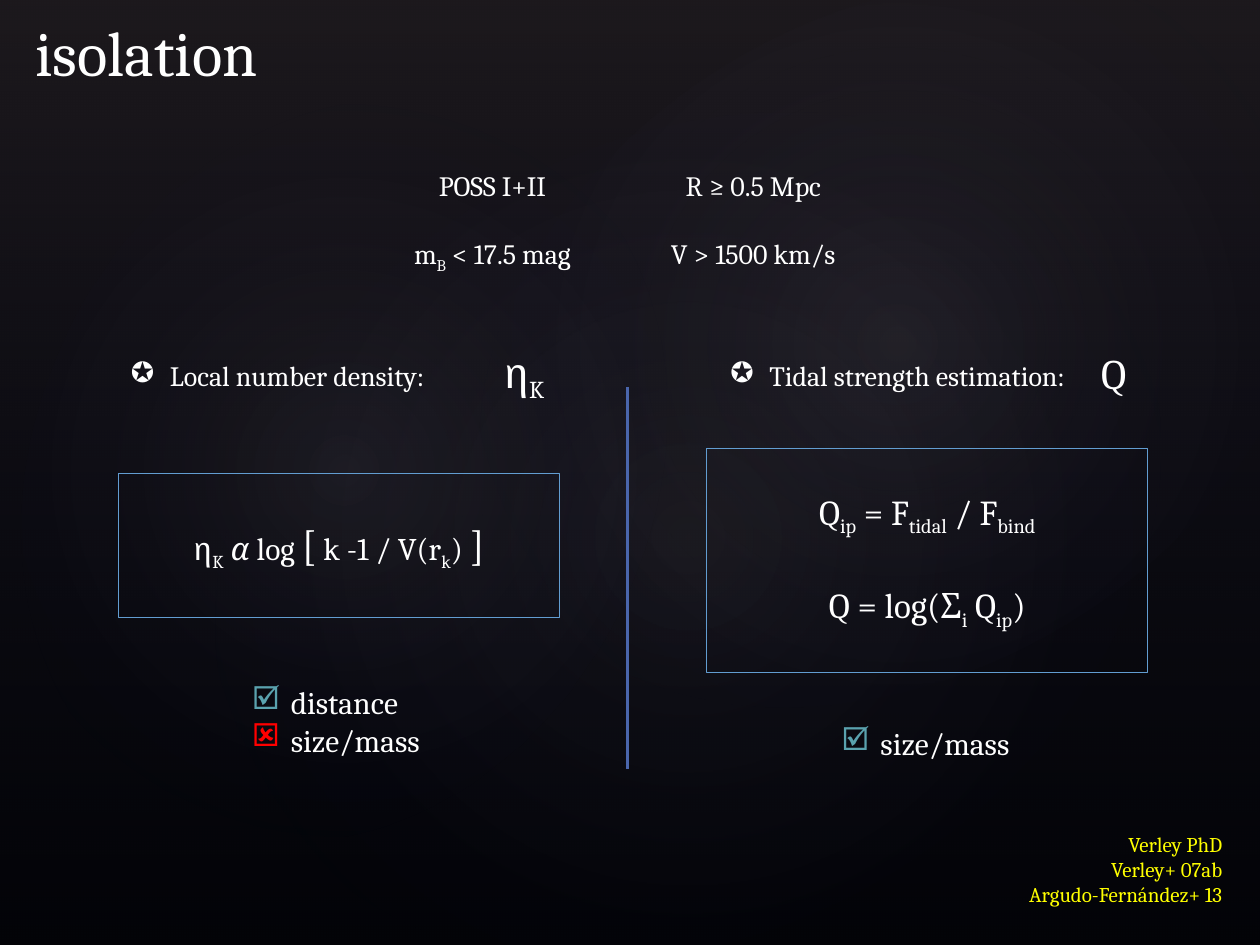
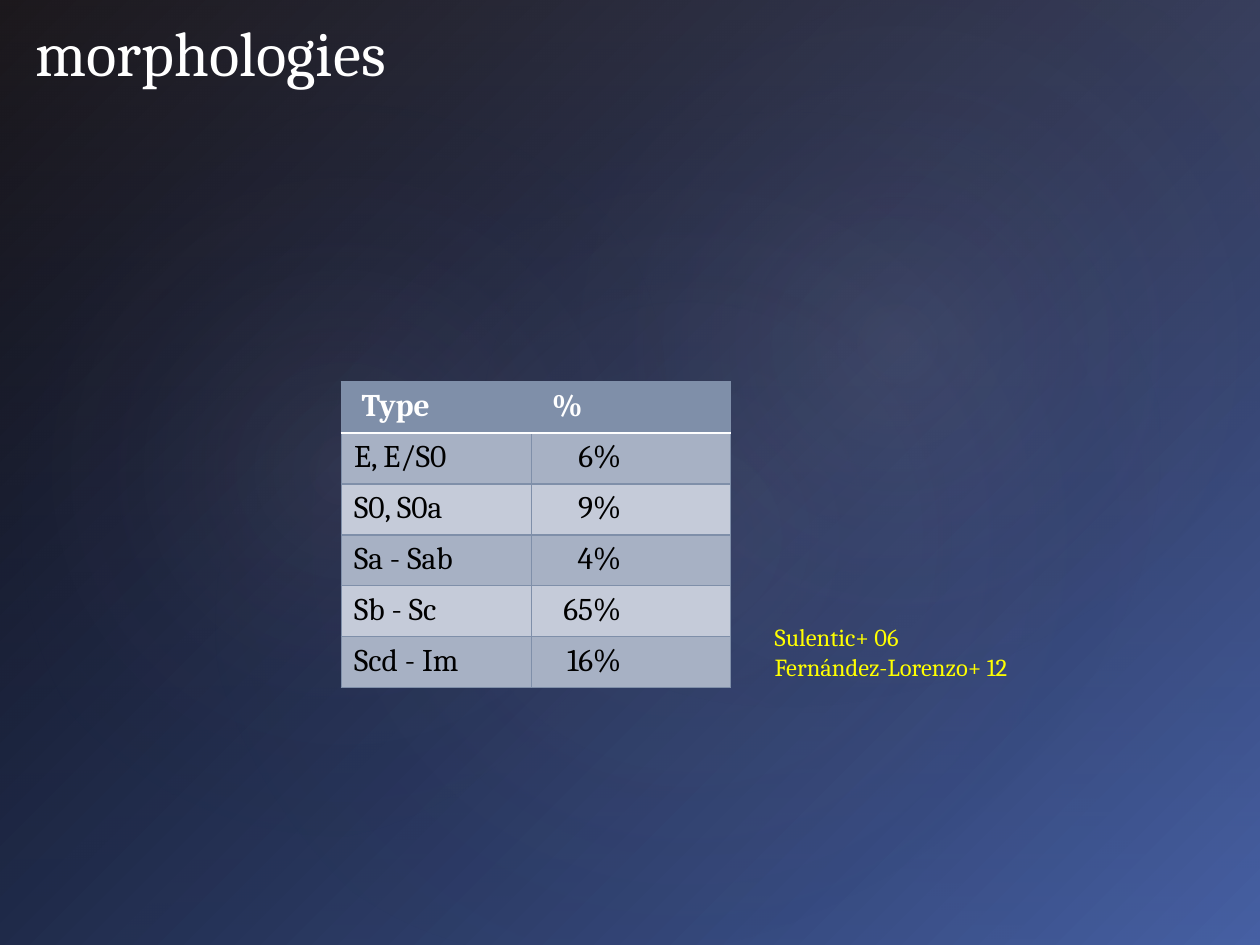
from lxml import etree
from pptx import Presentation
from pptx.dml.color import RGBColor
from pptx.enum.shapes import MSO_CONNECTOR, MSO_SHAPE
from pptx.enum.text import MSO_ANCHOR, PP_ALIGN
from pptx.oxml.ns import qn
from pptx.util import Inches, Pt

LEFT, CENTER, RIGHT = PP_ALIGN.LEFT, PP_ALIGN.CENTER, PP_ALIGN.RIGHT
TOP, MIDDLE, BOTTOM = MSO_ANCHOR.TOP, MSO_ANCHOR.MIDDLE, MSO_ANCHOR.BOTTOM
RECTANGLE, OVAL = MSO_SHAPE.RECTANGLE, MSO_SHAPE.OVAL
STRAIGHT = MSO_CONNECTOR.STRAIGHT

FONT = "Cambria"
WHITE, BLACK, YELLOW, RED = "FFFFFF", "000000", "FFFF00", "FF0000"
BLUE, SKY, TEAL = "4A66AC", "629DD1", "5AA2AE"
SLATE, DARK_BAND, LIGHT_BAND = "7F8FA9", "A7B1C4", "C5CBD9"
NAVY, PLUM, MIST = "242852", "504652", "C4BCC6"
TITLE_ONLY = 5
HANGING = 0.31


def rgb(value):
    return RGBColor.from_string(value)


def add_xml(parent, tag, **attributes):
    child = etree.SubElement(parent, qn(tag))
    for name, value in attributes.items():
        child.set(name, str(value))
    return child


# Backgrounds
def set_gradient(owner, stops, angle=None, focus=(50, 50, 50, 50)):
    """Give the gradient (position, colour, opacity) stops; circular without an angle."""
    gradient = owner.element.find(".//" + qn("a:gradFill"))
    for child in list(gradient):
        gradient.remove(child)
    stop_list = add_xml(gradient, "a:gsLst")
    for position, color, opacity in stops:
        stop = add_xml(stop_list, "a:gs", pos=position * 1000)
        tint = add_xml(stop, "a:srgbClr", val=color)
        if opacity < 100:
            add_xml(tint, "a:alpha", val=opacity * 1000)
    if angle is not None:
        add_xml(gradient, "a:lin", ang=angle * 60000, scaled=0)
    else:
        circle = add_xml(gradient, "a:path", path="circle")
        edges = {side: value * 1000 for side, value in zip("ltrb", focus)}
        add_xml(circle, "a:fillToRect", **edges)


def add_plain_shape(page, kind, place):
    shape = page.shapes.add_shape(kind, *map(Inches, place))
    shape.shadow.inherit = False
    return shape


def add_master_glow(deck, page):
    """Draw the veil and the glows on a page, then move them to the master."""
    veil = add_plain_shape(page, RECTANGLE, (0, 0, 10, 7.5))
    veil.fill.gradient()
    set_gradient(veil, [(0, PLUM, 36), (100, NAVY, 10)], angle=90)
    layers = [veil]
    for place, rotation, opacity in (
        ((1.5, 1.14, 7.92, 6.24), 328.7, 7),
        ((-0.3, 1.28, 6.06, 4.9), 294.3, 8),
        ((3.58, 0.13, 7.09, 5.2), 328.7, 8),
    ):
        glow = add_plain_shape(page, OVAL, place)
        glow.rotation = rotation
        glow.fill.gradient()
        set_gradient(glow, [(0, MIST, opacity), (58, NAVY, 0)])
        layers.append(glow)
    tree = deck.slide_master.element.cSld.spTree
    for index, layer in enumerate(layers):
        layer.line.fill.background()
        layer.element.nvSpPr.cNvPr.set("id", str(100 + index))
        tree.insert(2 + index, layer.element)


# Text
def sub(text):
    return text, {"sub": True}


def add_span(para, text, size, color=WHITE, bold=None, italic=None, sub=False):
    span = para.add_run()
    span.text = text
    span.font.name = FONT
    span.font.size = Pt(size)
    span.font.color.rgb = rgb(color)
    span.font.bold = bold
    span.font.italic = italic
    if sub:
        span._r.get_or_add_rPr().set("baseline", "-25000")


def add_bullet(para, symbol, color):
    properties = para._p.get_or_add_pPr()
    properties.set("marL", str(Inches(HANGING)))
    properties.set("indent", str(-Inches(HANGING)))
    add_xml(add_xml(properties, "a:buClr"), "a:srgbClr", val=color)
    add_xml(properties, "a:buChar", char=symbol)


def add_center_tabs(para, stops):
    tab_list = add_xml(para._p.get_or_add_pPr(), "a:tabLst")
    for stop in stops:
        add_xml(tab_list, "a:tab", pos=Inches(stop), algn="ctr")


def fill_text(frame, lines, size, color=WHITE, align=LEFT, anchor=TOP,
              gap=0, bullets=(), tabs=()):
    """Each line is a list of spans: plain strings or (text, format) pairs."""
    frame.word_wrap = True
    frame.vertical_anchor = anchor
    for index, line in enumerate(lines):
        para = frame.paragraphs[0] if index == 0 else frame.add_paragraph()
        para.alignment = align
        if bullets:
            add_bullet(para, *bullets[index])
        if tabs:
            add_center_tabs(para, tabs)
        if index and gap:
            para.space_before = Pt(gap)
        for span in line:
            text, style = (span, {}) if isinstance(span, str) else span
            add_span(para, text, **{"size": size, "color": color, **style})


def add_text(page, place, lines, size, **style):
    box = page.shapes.add_textbox(*map(Inches, place))
    fill_text(box.text_frame, lines, size, **style)


def add_formula_box(page, place, lines, size, gap=0):
    box = add_plain_shape(page, RECTANGLE, place)
    box.fill.background()
    box.line.color.rgb = rgb(SKY)
    box.line.width = Pt(0.75)
    fill_text(box.text_frame, lines, size, align=CENTER, anchor=MIDDLE, gap=gap)


def set_title(page, text):
    title = page.shapes.title
    title.left, title.top, title.width, title.height = map(
        Inches, (0.18, 0.08, 8.25, 0.68))
    fill_text(title.text_frame, [[text]], 36, anchor=BOTTOM)


# Lines and tables
def add_divider(page, x, top, bottom):
    line = page.shapes.add_connector(
        STRAIGHT, Inches(x), Inches(top), Inches(x), Inches(bottom))
    line.line.color.rgb = rgb(BLUE)
    line.line.width = Pt(1.5)
    add_xml(line.element.spPr, "a:effectLst")


def set_borders(cell, **special):
    properties = cell._tc.get_or_add_tcPr()
    for side in "LRTB":
        color, width = special.get(side, (SLATE, 1))
        border = add_xml(properties, "a:ln" + side, w=Pt(width))
        add_xml(add_xml(border, "a:solidFill"), "a:srgbClr", val=color)


def add_type_table(page, place, widths, rows):
    frame = page.shapes.add_table(len(rows), len(widths), *map(Inches, place))
    table = frame.table
    for column, width in zip(table.columns, widths):
        column.width = Inches(width)
    for row_index, row in enumerate(rows):
        header = row_index == 0
        edge = (WHITE, 1.5)
        special = {"B": edge} if header else {"T": edge} if row_index == 1 else {}
        band = SLATE if header else DARK_BAND if row_index % 2 else LIGHT_BAND
        for column_index, text in enumerate(row):
            cell = table.cell(row_index, column_index)
            set_borders(cell, **special)
            cell.fill.solid()
            cell.fill.fore_color.rgb = rgb(band)
            number = column_index == 1 and not header
            if header:
                cell.margin_left = Inches(0.16)
            elif number:
                cell.margin_right = Inches(0.87)
            span = text, {"bold": header}
            fill_text(cell.text_frame, [[span]], 18,
                      color=WHITE if header else BLACK,
                      align=RIGHT if number else LEFT)


# Slides
def build_isolation(page):
    page.background.fill.solid()
    page.background.fill.fore_color.rgb = rgb(BLACK)
    set_title(page, "isolation")

    # Selection criteria
    add_text(page, (2.26, 1.29, 5.45, 0.91), [
        ["\tPOSS I+II\tR ≥ 0.5 Mpc"],
        ["\tm", sub("B"), " < 17.5 mag\tV > 1500 km/s"],
    ], 16, gap=19.5, tabs=(1.55, 3.62))

    # Local number density
    star = [("✪", WHITE)]
    add_text(page, (0.94, 2.8, 3.35, 0.37), [["Local number density:"]], 16,
             bullets=star)
    add_text(page, (3.86, 2.7, 0.6, 0.5), [["η", sub("K")]], 24, align=CENTER)
    large = {"size": 24}
    add_formula_box(page, (0.94, 3.76, 3.5, 1.14), [[
        "η", sub("K"), " ", ("α", {"italic": True}), " log ", ("[", large),
        " k -1 / V(r", sub("k"), ") ", ("]", large),
    ]], 18)
    checked, crossed = ("☑", TEAL), ("☒", RED)
    add_text(page, (1.9, 5.37, 1.56, 0.71), [["distance"], ["size/mass"]], 18,
             bullets=[checked, crossed])

    add_divider(page, 4.98, 3.07, 6.1)

    # Tidal strength
    add_text(page, (5.41, 2.8, 3.43, 0.37), [["Tidal strength estimation:"]], 16,
             align=CENTER, bullets=star)
    add_text(page, (8.64, 2.71, 0.47, 0.5), [["Q"]], 24)
    add_formula_box(page, (5.61, 3.56, 3.5, 1.78), [
        ["Q", sub("ip"), " = F", sub("tidal"), " / F", sub("bind")],
        ["Q = log(Σ", sub("i"), " Q", sub("ip"), ")"],
    ], 20, gap=26)
    add_text(page, (6.58, 5.7, 1.56, 0.4), [["size/mass"]], 18, bullets=[checked])

    # References
    add_text(page, (7.87, 6.55, 1.93, 0.71),
             [["Verley PhD"], ["Verley+ 07ab"], ["Argudo-Fernández+ 13"]],
             12, color=YELLOW, align=RIGHT)


def build_morphologies(page):
    page.background.fill.gradient()
    set_gradient(page, [(0, BLUE, 100), (100, BLACK, 100)], focus=(100, 100, 0, 0))
    set_title(page, "morphologies")
    add_type_table(page, (2.71, 3.03, 3.09, 2.43), (1.51, 1.58), [
        ("Type", "%"),
        ("E, E/S0", "6%"),
        ("S0, S0a", "9%"),
        ("Sa - Sab", "4%"),
        ("Sb - Sc", "65%"),
        ("Scd - Im", "16%"),
    ])
    add_text(page, (6.05, 4.89, 2.25, 0.57),
             [["Sulentic+ 06"], ["Fernández-Lorenzo+ 12"]], 14, color=YELLOW)


def main():
    deck = Presentation()
    deck.slide_width, deck.slide_height = Inches(10), Inches(7.5)
    layout = deck.slide_layouts[TITLE_ONLY]
    isolation, morphologies = (deck.slides.add_slide(layout) for _ in range(2))
    add_master_glow(deck, isolation)
    build_isolation(isolation)
    build_morphologies(morphologies)
    deck.save("out.pptx")


if __name__ == "__main__":
    main()
